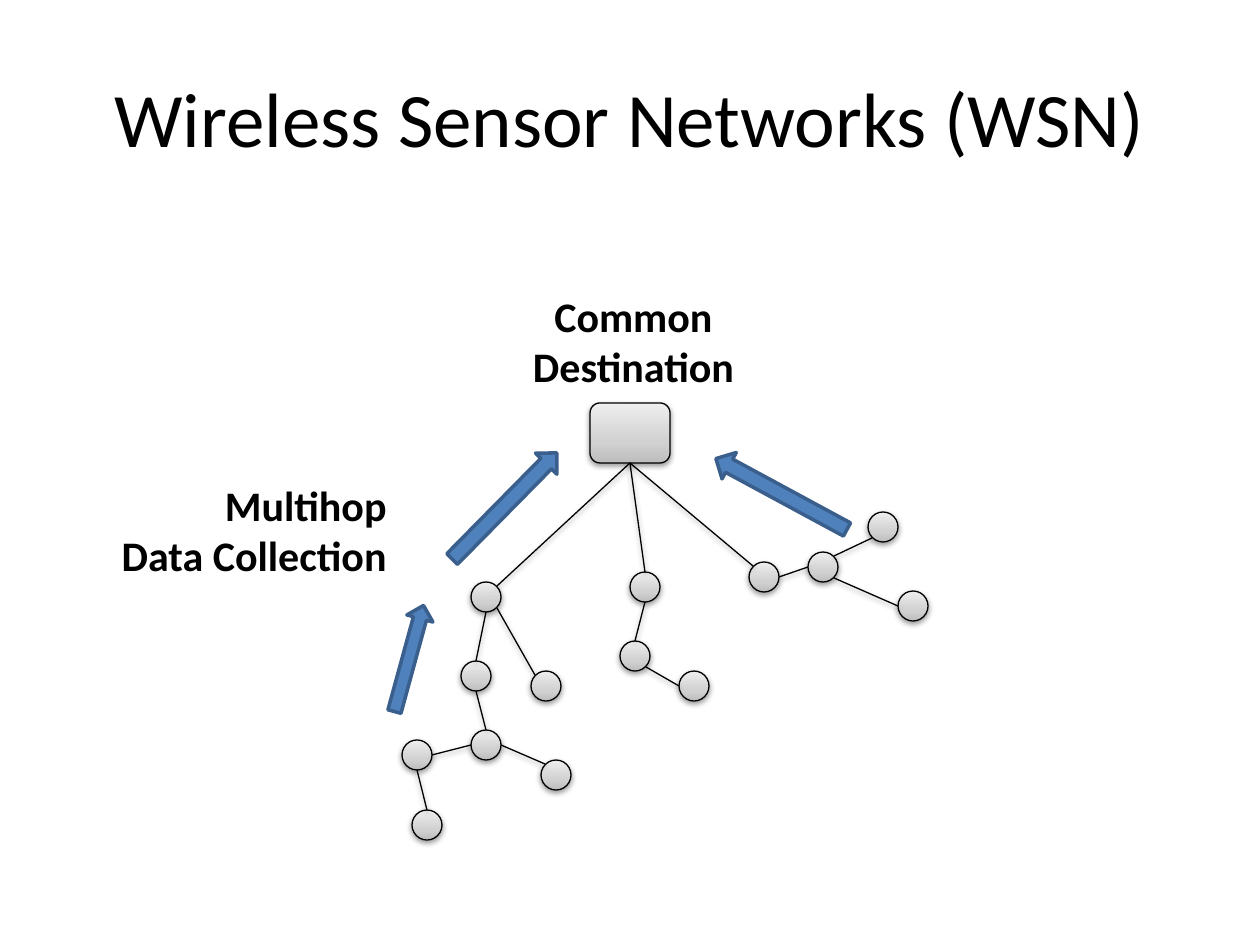
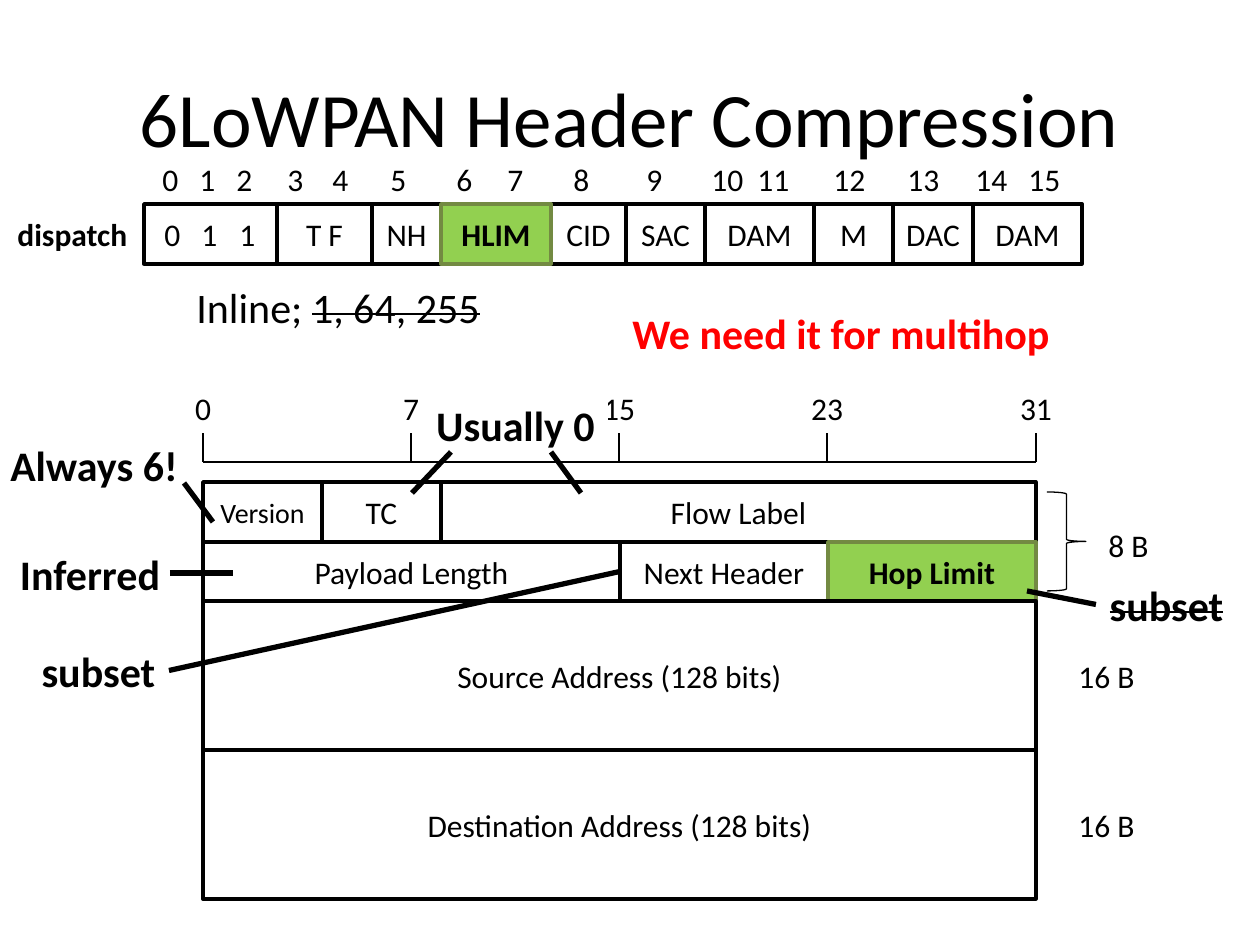
"""Build two slides: a wireless sensor tree and the 6LoWPAN header fields."""
import copy
from dataclasses import dataclass
from itertools import accumulate

from lxml import etree
from pptx import Presentation
from pptx import util as u
from pptx.dml.color import RGBColor
from pptx.enum import shapes, text
from pptx.oxml.ns import qn

EMU_PER_PX = 914400 / 126
FONT = "Calibri"
COLORS = {
    "ink": "000000", "paper": "FFFFFF", "red": "FF0000",
    "green": "92D050", "olive": "738A42",
    "blue": "4F81BD", "navy": "3A5F8C",
    "grey_dark": "BDBDBD", "grey_mid": "D1D1D1", "grey_light": "EEEEEE",
}
GREYS = ((0, "grey_dark"), (0.35, "grey_mid"), (1, "grey_light"))
KIND = shapes.MSO_SHAPE
LEFT, CENTER, RIGHT = text.PP_ALIGN.LEFT, text.PP_ALIGN.CENTER, text.PP_ALIGN.RIGHT

RADIUS = 15
DIAGONAL = 11
SITES = {
    "n": (0, -RADIUS), "e": (RADIUS, 0), "s": (0, RADIUS), "w": (-RADIUS, 0),
    "ne": (DIAGONAL, -DIAGONAL), "se": (DIAGONAL, DIAGONAL),
    "sw": (-DIAGONAL, DIAGONAL), "nw": (-DIAGONAL, -DIAGONAL),
}


@dataclass(frozen=True)
class Label:
    text: str
    x: int
    y: int
    w: int
    h: int = 63
    size: int = 24
    bold: bool = True
    align: text.PP_ALIGN = CENTER
    color: str = "ink"
    fill: str = ""
    strike: bool = False


@dataclass(frozen=True)
class Field:
    text: str
    w: int
    size: int = 18
    key: bool = False
    stops: tuple[int, ...] = ()


@dataclass(frozen=True)
class Link:
    start: str
    start_site: str
    end: str
    end_site: str


@dataclass(frozen=True)
class Arrow:
    x: int
    y: int
    w: int
    h: int
    angle: float


NODES = {
    "left": (486, 597), "left_a": (476, 676), "left_b": (546, 686),
    "hub": (486, 745), "hub_a": (417, 755), "hub_b": (556, 775), "leaf": (427, 825),
    "mid": (645, 587), "mid_a": (635, 656), "mid_b": (694, 686),
    "right": (764, 577), "fork": (823, 567), "fork_a": (883, 527), "fork_b": (913, 606),
}
ROOT_LINKS = (("right", "nw"), ("mid", "n"), ("left", "ne"))
LINKS = (
    Link("right", "e", "fork", "w"), Link("fork", "ne", "fork_a", "sw"),
    Link("fork", "se", "fork_b", "w"), Link("mid", "s", "mid_a", "n"),
    Link("mid_a", "se", "mid_b", "w"), Link("left", "s", "left_a", "n"),
    Link("left_a", "s", "hub", "n"), Link("hub", "w", "hub_a", "e"),
    Link("hub_a", "s", "leaf", "n"), Link("left_b", "nw", "left", "se"),
    Link("hub", "e", "hub_b", "nw"),
)
ARROWS = (
    Arrow(430, 491, 149, 30, 314.6),
    Arrow(707, 479, 149, 30, 208.4),
    Arrow(354, 645, 110, 27, 285.3),
)
TREE_LABELS = (
    Label("Multihop\nData Collection", 105, 473, 294, 115, align=RIGHT),
    Label("Common\nDestination", 519, 284, 229, 115),
)

DISPATCH = (
    Field("\t0\t1\t1", 133, stops=(16, 53, 91)), Field("T F", 95), Field("NH", 69),
    Field("HLIM", 110, key=True), Field("CID", 75), Field("SAC", 79), Field("DAM", 109),
    Field("M", 79), Field("DAC", 80), Field("DAM", 109),
)
BIT_STOPS = (8, 45, 82, 133, 178, 236, 302, 353, 419, 492, 565, 611, 687, 761, 829, 882)
HEADER_X, HEADER_W = 203, 833
HEADER_ROWS = (
    (482, 60, (Field("Version", 119, 16), Field("TC", 119), Field("Flow Label", 595))),
    (542, 59, (Field("Payload Length", 417), Field("Next Header", 208),
               Field("Hop Limit", 208, key=True))),
    (601, 149, (Field("Source Address (128 bits)", HEADER_W),)),
    (750, 149, (Field("Destination Address (128 bits)", HEADER_W),)),
)
RULER_BITS = (0, 7, 15, 23, 31)
HEADER_LABELS = (
    Label("16 B", 1066, 651, 82, 50, 18, False, LEFT),
    Label("16 B", 1066, 800, 82, 50, 18, False, LEFT),
    Label("8 B", 1096, 520, 66, 50, 18, False, LEFT),
    Label("Always 6!", -3, 433, 194),
    Label("Usually 0", 423, 393, 185, fill="paper"),
    Label("Inferred", 6, 542, 168),
    Label("We need it for multihop", 620, 301, 447, align=LEFT, color="red"),
    Label("dispatch", 5, 209, 144, 50, 18, align=LEFT),
)
SUBSET_NEXT = Label("subset", 28, 639, 141, fill="paper")
SUBSET_HOP = Label("subset", 1096, 573, 141, fill="paper", strike=True)
POINTERS = (
    (412, 493, 451, 452), (581, 493, 551, 452),
    (184, 483, 213, 522), (170, 573, 233, 573),
)


def px(n: float) -> int:
    """Turn pixels into EMU."""
    return round(n * EMU_PER_PX)


def rgb(name: str) -> RGBColor:
    """Look up a named colour."""
    return RGBColor.from_string(COLORS[name])


def add_run(p, words: str, *, size: int = 18, bold: bool = False,
            color: str = "ink", strike: bool = False):
    """Append one formatted run to a paragraph."""
    r = p.add_run()
    r.text = words
    r.font.name, r.font.size, r.font.bold = FONT, u.Pt(size), bold
    r.font.color.rgb = rgb(color)
    if strike:
        r.font._element.set("strike", "sngStrike")
    return r


def set_tabs(p, stops: tuple[int, ...]) -> None:
    """Give a paragraph centred tab stops."""
    tabs = etree.SubElement(p._p.get_or_add_pPr(), qn("a:tabLst"))
    for stop in stops:
        etree.SubElement(tabs, qn("a:tab"), pos=str(px(stop)), algn="ctr")


def add_soft_shadow(effects) -> None:
    """Put a soft drop shadow in an effect list."""
    shadow = etree.SubElement(effects, qn("a:outerShdw"), blurRad="40000", dist="20000",
                              dir="5400000", rotWithShape="0")
    color = etree.SubElement(shadow, qn("a:srgbClr"), val=COLORS["ink"])
    etree.SubElement(color, qn("a:alpha"), val="38000")


def add_box(s, kind, x: int, y: int, w: int, h: int, *, fill: str = "",
            line: str = "ink", width: float = 2):
    """Draw a preset shape without a shadow."""
    sp = s.shapes.add_shape(kind, px(x), px(y), px(w), px(h))
    sp.shadow.inherit = False
    if fill:
        sp.fill.solid()
        sp.fill.fore_color.rgb = rgb(fill)
    else:
        sp.fill.background()
    sp.line.color.rgb, sp.line.width = rgb(line), u.Pt(width)
    return sp


def add_node(s, kind, x: int, y: int, w: int, h: int):
    """Draw a grey gradient shape with a soft shadow."""
    sp = add_box(s, kind, x, y, w, h, width=0.75)
    sp.fill.gradient()
    sp.fill.gradient_angle = 90
    stops = sp._element.spPr.find(qn("a:gradFill")).find(qn("a:gsLst"))
    stops.insert(1, copy.deepcopy(stops[0]))
    for stop, (position, color) in zip(sp.fill.gradient_stops, GREYS):
        stop.position, stop.color.rgb = position, rgb(color)
    add_soft_shadow(sp._element.spPr.find(qn("a:effectLst")))
    return sp


def add_line(s, x1: int, y1: int, x2: int, y2: int, *, width: float, shadow: bool = False):
    """Draw a straight black connector."""
    cx = s.shapes.add_connector(shapes.MSO_CONNECTOR.STRAIGHT, px(x1), px(y1), px(x2), px(y2))
    cx.line.color.rgb, cx.line.width = rgb("ink"), u.Pt(width)
    effects = etree.SubElement(cx._element.spPr, qn("a:effectLst"))
    if shadow:
        add_soft_shadow(effects)
    return cx


def add_label(s, label: Label):
    """Draw a text box with one paragraph per line."""
    sp = s.shapes.add_textbox(px(label.x), px(label.y), px(label.w), px(label.h))
    if label.fill:
        sp.fill.solid()
        sp.fill.fore_color.rgb = rgb(label.fill)
    tf = sp.text_frame
    tf.word_wrap, tf.auto_size = False, text.MSO_AUTO_SIZE.SHAPE_TO_FIT_TEXT
    for i, words in enumerate(label.text.split("\n") if label.text else ()):
        p = tf.add_paragraph() if i else tf.paragraphs[0]
        p.alignment = label.align
        add_run(p, words, size=label.size, bold=label.bold, color=label.color,
                strike=label.strike)
    return sp


def add_fields(s, x: int, y: int, h: int, fields: tuple[Field, ...]) -> dict:
    """Draw adjoining header fields, highlighted ones on top."""
    lefts = accumulate((f.w for f in fields[:-1]), initial=x)
    drawn = {}
    for left, f in sorted(zip(lefts, fields), key=lambda pair: pair[1].key):
        sp = add_box(s, KIND.RECTANGLE, left, y, f.w, h, fill="green" if f.key else "paper",
                     line="olive" if f.key else "ink")
        tf = sp.text_frame
        tf.word_wrap = bool(f.stops)
        tf.vertical_anchor = text.MSO_ANCHOR.MIDDLE
        p = tf.paragraphs[0]
        p.alignment = LEFT if f.stops else CENTER
        if f.stops:
            set_tabs(p, f.stops)
        add_run(p, f.text, size=f.size, bold=f.key)
        drawn[f.text] = sp
    return drawn


def add_titled_slide(prs, title: str):
    """Add a title-only slide."""
    s = prs.slides.add_slide(prs.slide_layouts[5])
    sp = s.shapes.title
    sp.left, sp.top, sp.width, sp.height = px(63), px(38), px(1134), px(157)
    tf = sp.text_frame
    tf.vertical_anchor = text.MSO_ANCHOR.MIDDLE
    tf.paragraphs[0].alignment = CENTER
    add_run(tf.paragraphs[0], title, size=44)
    return s


def build_sensor_tree(prs) -> None:
    """Build the sensor network slide."""
    s = add_titled_slide(prs, "Wireless Sensor Networks (WSN)")
    for x, y in NODES.values():
        add_node(s, KIND.OVAL, x - RADIUS, y - RADIUS, 2 * RADIUS, 2 * RADIUS)
    root = add_node(s, KIND.ROUNDED_RECTANGLE, 590, 403, 80, 60)

    def site(name: str, side: str) -> tuple[int, int]:
        """Find a point on the rim of a node."""
        return NODES[name][0] + SITES[side][0], NODES[name][1] + SITES[side][1]

    for name, side in ROOT_LINKS:
        add_line(s, 630, 463, *site(name, side), width=0.75, shadow=True).begin_connect(root, 2)
    for k in LINKS:
        add_line(s, *site(k.start, k.start_site), *site(k.end, k.end_site),
                 width=0.75, shadow=True)
    for a in ARROWS:
        add_box(s, KIND.RIGHT_ARROW, a.x, a.y, a.w, a.h, fill="blue",
                line="navy").rotation = a.angle
    for label in TREE_LABELS:
        add_label(s, label)


def build_header(prs) -> None:
    """Build the header compression slide."""
    s = add_titled_slide(prs, "6LoWPAN Header Compression")
    add_line(s, HEADER_X, 462, HEADER_X + HEADER_W, 462, width=1.5)
    for i, bit in enumerate(RULER_BITS):
        x = HEADER_X + i * HEADER_W // 4
        add_line(s, x, 462, x, 433, width=1.5)
        add_label(s, Label(str(bit), x - 29, 383, 58, 50, 18, False))
    fields = {}
    for y, h, row in HEADER_ROWS:
        fields |= add_fields(s, HEADER_X, y, h, row)
    brace = add_box(s, KIND.RIGHT_BRACE, 1047, 492, 39, 99, width=0.75)
    brace.adjustments[0] = 0.055
    for label in HEADER_LABELS:
        add_label(s, label)
    for ends in POINTERS:
        add_line(s, *ends, width=3)
    subset = add_label(s, SUBSET_NEXT)
    cx = add_line(s, 169, 670, 620, 572, width=3)
    cx.begin_connect(subset, 3)
    cx.end_connect(fields["Next Header"], 1)
    subset = add_label(s, SUBSET_HOP)
    add_line(s, 1096, 605, 1027, 591, width=3).begin_connect(subset, 1)
    add_fields(s, 144, 204, 60, DISPATCH)
    tf = add_label(s, Label("", 150, 154, 958, 50)).text_frame
    tf.word_wrap = True
    set_tabs(tf.paragraphs[0], BIT_STOPS)
    add_run(tf.paragraphs[0], "".join(f"\t{bit}" for bit in range(16)))
    inline = add_label(s, Label("Inline; ", 184, 275, 311, bold=False, align=LEFT))
    add_run(inline.text_frame.paragraphs[0], "1, 64, 255", size=24, strike=True)


def main() -> None:
    """Build and save the deck."""
    prs = Presentation()
    prs.slide_width, prs.slide_height = px(1260), px(945)
    build_sensor_tree(prs)
    build_header(prs)
    prs.save("out.pptx")


if __name__ == "__main__":
    main()
